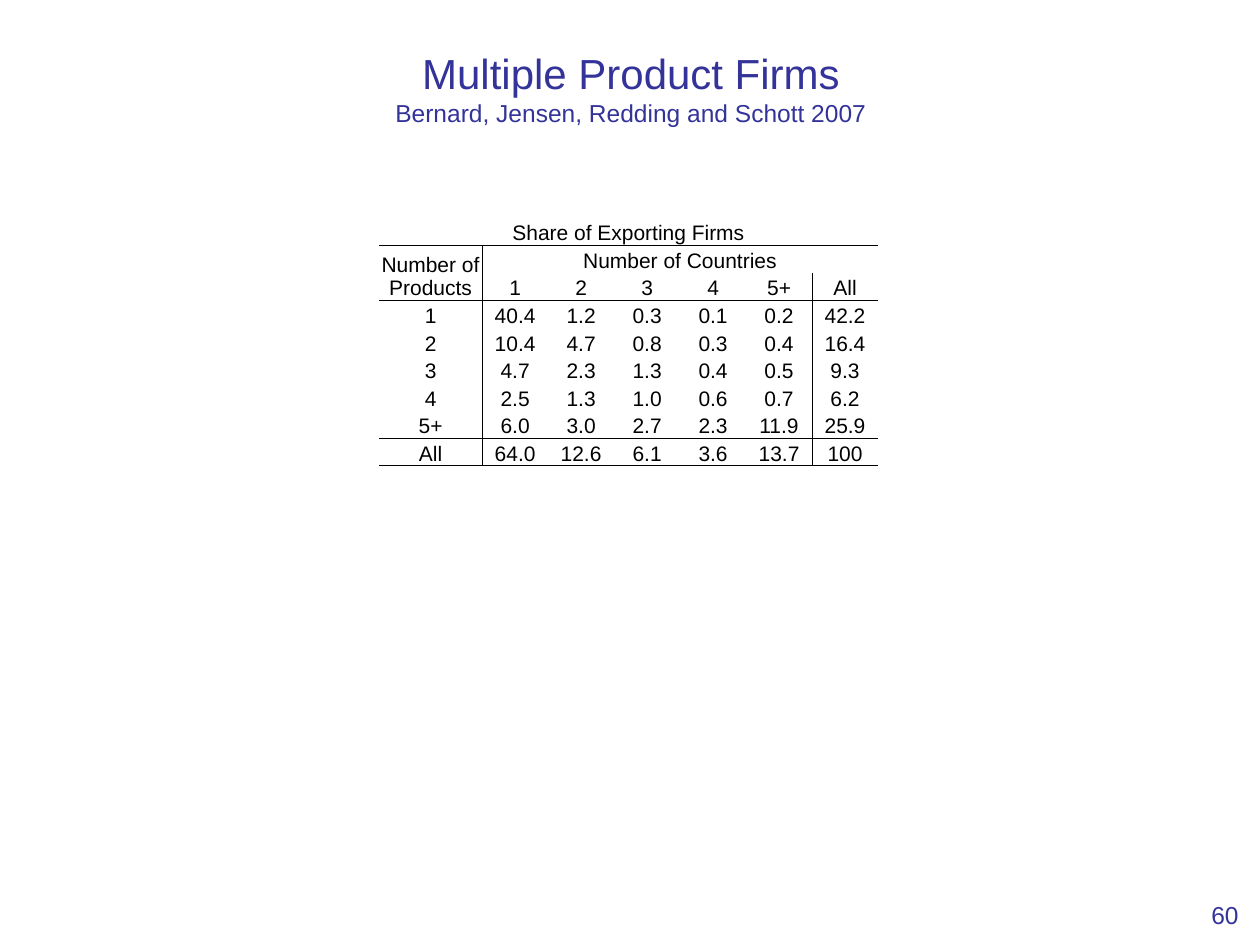
import pptx
import pptx.util
import pptx.dml.color
import pptx.enum.text
import pptx.oxml
import pptx.oxml.ns
from lxml import etree

Cm, Pt = pptx.util.Cm, pptx.util.Pt
Align = pptx.enum.text.PP_ALIGN
Anchor = pptx.enum.text.MSO_ANCHOR

TITLE = [("Multiple Product Firms", 24), ("Bernard, Jensen, Redding and Schott 2007", 14)]
PAGE = "60"
ROWS = [
    ["Share of Exporting Firms"],
    ["Number of Products", "Number of Countries"],
    ["", "1", "2", "3", "4", "5+", "All"],
    ["1", "40.4", "1.2", "0.3", "0.1", "0.2", "42.2"],
    ["2", "10.4", "4.7", "0.8", "0.3", "0.4", "16.4"],
    ["3", "4.7", "2.3", "1.3", "0.4", "0.5", "9.3"],
    ["4", "2.5", "1.3", "1.0", "0.6", "0.7", "6.2"],
    ["5+", "6.0", "3.0", "2.7", "2.3", "11.9", "25.9"],
    ["All", "64.0", "12.6", "6.1", "3.6", "13.7", "100"],
]
SPANS = [((0, 0), (0, 6)), ((1, 0), (2, 0)), ((1, 1), (1, 6))]
RULES = {0, 2, 7, 8}
BARS = {0: 1, 5: 2}
WIDTHS = [2.08] + [1.33] * 6
COLORS = {"blue": "333399", "black": "000000"}
FONT = "Arial"


def add_run(para, text, size, color):
    run = para.add_run()
    run.text = text
    run.font.size = Pt(size)
    run.font.name = FONT
    run.font.color.rgb = pptx.dml.color.RGBColor.from_string(COLORS[color])


def has_bar(row, col):
    return col in BARS and row >= BARS[col]


def set_lines(cell, row, col):
    sides = {
        "L": has_bar(row, col - 1),
        "R": has_bar(row, col),
        "T": row - 1 in RULES,
        "B": row in RULES,
    }
    props = cell._tc.get_or_add_tcPr()
    for spot, (side, shown) in enumerate(sides.items()):
        line = etree.Element(pptx.oxml.ns.qn(f"a:ln{side}"), w=str(Pt(0.5)))
        fill = etree.SubElement(line, pptx.oxml.ns.qn("a:solidFill" if shown else "a:noFill"))
        if shown:
            etree.SubElement(fill, pptx.oxml.ns.qn("a:srgbClr"), val=COLORS["black"])
        props.insert(spot, line)


def add_title(slide):
    title = slide.shapes.title
    title.left, title.top, title.width, title.height = Cm(1), Cm(0.76), Cm(23.44), Cm(2)
    frame = title.text_frame
    frame.vertical_anchor = Anchor.MIDDLE
    para = frame.paragraphs[0]
    para.alignment = Align.CENTER
    (head, big), (cite, small) = TITLE
    add_run(para, head, big, "blue")
    para.add_line_break()
    mark = para._p.find(pptx.oxml.ns.qn("a:br"))
    etree.SubElement(mark, pptx.oxml.ns.qn("a:rPr"), sz=str(big * 100))
    add_run(para, cite, small, "blue")


def add_page(slide):
    frame = slide.shapes.add_textbox(Cm(23.85), Cm(17.42), Cm(1.37), Cm(1.32)).text_frame
    frame.word_wrap = True
    frame.vertical_anchor = Anchor.BOTTOM
    frame.margin_bottom = 0
    para = frame.paragraphs[0]
    para.alignment = Align.RIGHT
    add_run(para, PAGE, 14, "blue")


def add_grid(slide):
    high = Cm(5)
    table = slide.shapes.add_table(
        len(ROWS), len(WIDTHS), Cm(7.64), Cm(4.39), Cm(sum(WIDTHS)), high
    ).table
    table.first_row = table.horz_banding = False
    for col, wide in zip(table.columns, WIDTHS):
        col.width = Cm(wide)
    for row in table.rows:
        row.height = high // len(ROWS)
    for start, end in SPANS:
        table.cell(*start).merge(table.cell(*end))
    for row, texts in enumerate(ROWS):
        for col in range(len(WIDTHS)):
            cell = table.cell(row, col)
            cell.fill.background()
            set_lines(cell, row, col)
            cell.vertical_anchor = Anchor.BOTTOM
            cell.margin_left = cell.margin_right = cell.margin_top = Cm(0.02)
            cell.margin_bottom = 0
            para = cell.text_frame.paragraphs[0]
            para.alignment = Align.CENTER
            para.font.size = Pt(12)
            if col < len(texts) and texts[col]:
                add_run(para, texts[col], 12, "black")


def main():
    deck = pptx.Presentation()
    deck.slide_width, deck.slide_height = Cm(25.4), Cm(19.05)
    slide = deck.slides.add_slide(deck.slide_layouts[5])
    add_title(slide)
    add_page(slide)
    add_grid(slide)
    deck.save("out.pptx")


if __name__ == "__main__":
    main()
